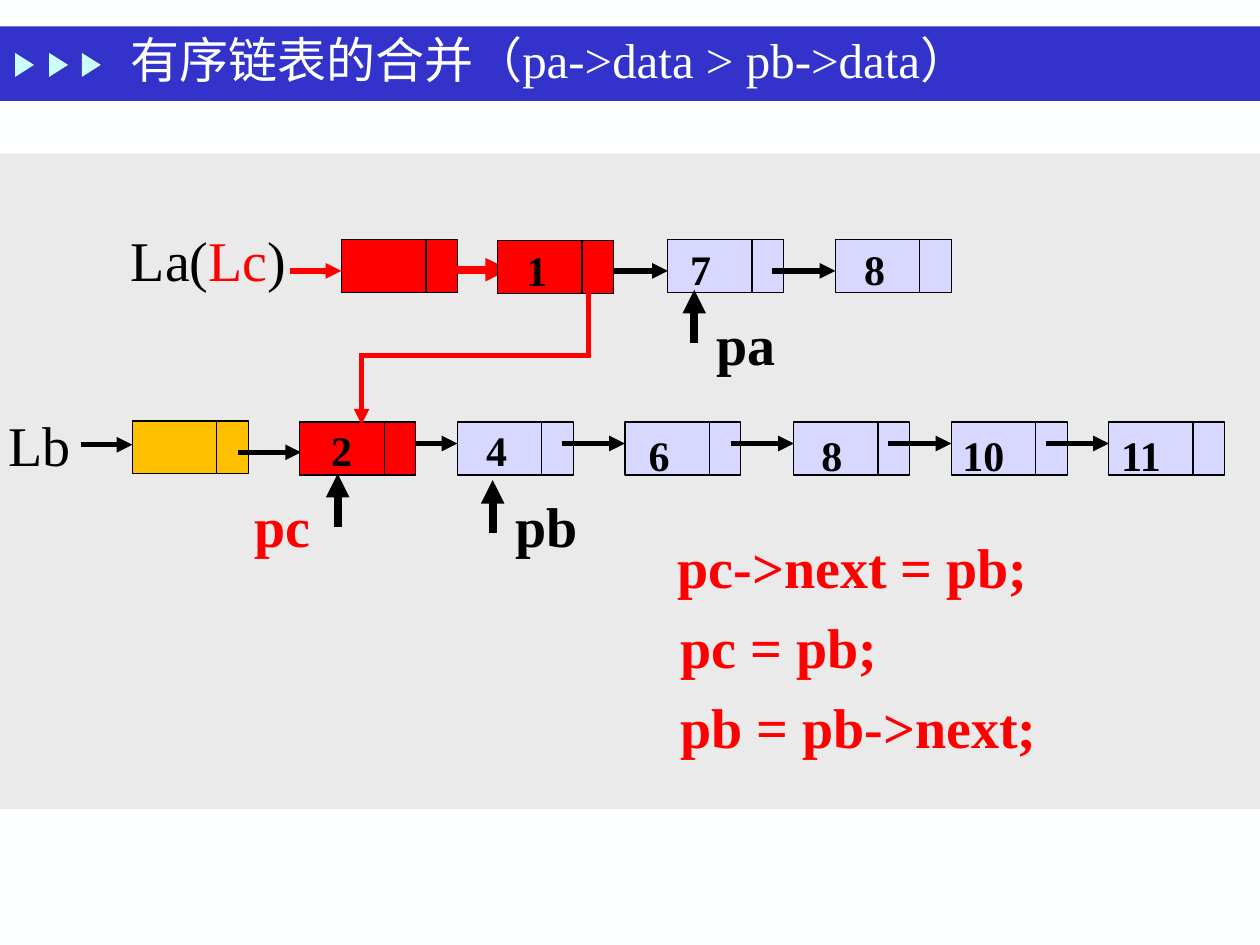
from lxml import etree
from pptx import Presentation
from pptx.dml.color import RGBColor
from pptx.enum.shapes import MSO_CONNECTOR, MSO_SHAPE
from pptx.enum.text import MSO_ANCHOR
from pptx.oxml.ns import qn
from pptx.util import Inches, Pt

RECTANGLE = MSO_SHAPE.RECTANGLE
TRIANGLE = MSO_SHAPE.ISOSCELES_TRIANGLE
STRAIGHT = MSO_CONNECTOR.STRAIGHT
MIDDLE = MSO_ANCHOR.MIDDLE

FONT = "Times New Roman"
BLACK, WHITE, RED = "000000", "FEFFFF", "FF0000"
BLUE, CYAN, GREY = "3333CC", "CBFFFF", "EAEAEA"
LILAC, GOLD = "D7D7FF", "FFC000"
DATA_WIDTH, LINK_WIDTH, NODE_HEIGHT = 0.67, 0.25, 0.42
VALUE_HEIGHT, LABEL_HEIGHT = 0.51, 0.63

TITLE = "有序链表的合并（pa->data > pb->data）"
MARKER_LEFTS = [0.1, 0.37, 0.63]

# left, top, fill, value, value left, value top, value width
BACK_NODES = [
    (2.71, 1.9, RED, None, 0, 0, 0),
    (5.3, 1.9, LILAC, "7", 5.38, 1.83, 0.37),
    (6.63, 1.9, LILAC, "8", 6.76, 1.83, 0.37),
    (1.05, 3.34, GOLD, None, 0, 0, 0),
    (3.63, 3.35, LILAC, "4", 3.76, 3.27, 0.37),
    (4.96, 3.35, LILAC, "6", 5.05, 3.31, 0.37),
    (6.3, 3.35, LILAC, "8", 6.42, 3.31, 0.37),
    (7.55, 3.35, LILAC, "10", 7.54, 3.31, 0.54),
    (8.8, 3.35, LILAC, "11", 8.8, 3.31, 0.52),
]
FRONT_NODES = [
    (3.95, 1.91, RED, "1", 4.08, 1.84, 0.37),
    (2.38, 3.35, RED, "2", 2.53, 3.27, 0.37),
]

LINK_LENGTH = 0.5
BLACK_LINKS = [
    (4.8, 2.15), (6.13, 2.15), (1.89, 3.59), (3.13, 3.52), (4.46, 3.52),
    (5.8, 3.52), (7.05, 3.52), (8.3, 3.52),
]
HEAD_LINKS = [
    (2.3, 2.15, 2.71, 2.15, RED, 3, True),
    (0.64, 3.53, 1.05, 3.53, BLACK, 3, True),
    (3.54, 2.14, 4.04, 2.14, RED, 4.5, True),
]
MERGE_ROUTE = [
    (4.67, 2.32, 4.67, 2.82, RED, 3, False),
    (4.69, 2.82, 2.85, 2.82, RED, 3, False),
    (2.87, 2.82, 2.87, 3.37, RED, 3, True),
]
POINTER_LENGTH = 0.42
POINTERS = [(2.68, 3.76), (5.51, 2.3), (3.91, 3.81)]

# left, top, width, colored spans, bold, wrap
LABELS = [
    (0.94, 1.69, 1.61, [("La(", BLACK), ("Lc", RED), (")", BLACK)], False, True),
    (-0.03, 3.16, 0.7, [("Lb", BLACK)], False, False),
    (5.59, 2.36, 0.68, [("pa", BLACK)], True, False),
    (3.99, 3.8, 0.7, [("pb", BLACK)], True, False),
    (1.92, 3.8, 0.95, [("pc", RED)], True, True),
    (5.28, 4.13, 4.03, [("pc->next = pb;", RED)], True, True),
    (5.3, 4.76, 4.03, [("pc = pb;", RED)], True, True),
    (5.3, 5.4, 4.03, [("pb = pb->next;", RED)], True, True),
]


def color(value):
    return RGBColor.from_string(value)


def add_block(page, kind, left, top, width, height, fill, outlined=False):
    block = page.shapes.add_shape(
        kind, Inches(left), Inches(top), Inches(width), Inches(height))
    block.shadow.inherit = False
    block.fill.solid()
    block.fill.fore_color.rgb = color(fill)
    if outlined:
        block.line.color.rgb = color(BLACK)
        block.line.width = Pt(0.75)
    else:
        block.line.fill.background()
    return block


def add_text(page, left, top, width, height, spans, size, bold=False, wrap=False):
    box = page.shapes.add_textbox(
        Inches(left), Inches(top), Inches(width), Inches(height))
    frame = box.text_frame
    frame.word_wrap = wrap
    frame.margin_top, frame.margin_bottom = Inches(0.1), 0
    para = frame.paragraphs[0]
    para.font.name = FONT
    para.font.size = Pt(size)
    para.font.bold = bold
    for text, shade in spans:
        span = para.add_run()
        span.text = text
        span.font.color.rgb = color(shade)
    return frame


def add_line(page, x1, y1, x2, y2, shade, weight, arrow):
    line = page.shapes.add_connector(
        STRAIGHT, Inches(x1), Inches(y1), Inches(x2), Inches(y2))
    line.line.color.rgb = color(shade)
    line.line.width = Pt(weight)
    if arrow:
        outline = line.line._get_or_add_ln()
        etree.SubElement(outline, qn("a:tailEnd"), type="triangle")
    etree.SubElement(line._element.spPr, qn("a:effectLst"))


def add_node(page, left, top, fill, value, value_left, value_top, value_width):
    for start, width in [(left, DATA_WIDTH), (left + DATA_WIDTH, LINK_WIDTH)]:
        add_block(page, RECTANGLE, start, top, width, NODE_HEIGHT, fill, True)
    if value:
        add_text(page, value_left, value_top, value_width, VALUE_HEIGHT,
                 [(value, BLACK)], 24, True)


def main():
    deck = Presentation()
    deck.slide_width, deck.slide_height = Inches(10), Inches(7.5)
    page = deck.slides.add_slide(deck.slide_layouts[6])
    page.background.fill.solid()
    page.background.fill.fore_color.rgb = color(WHITE)

    add_block(page, RECTANGLE, 0, 0.21, 10, 0.59, BLUE)
    for left in MARKER_LEFTS:
        add_block(page, TRIANGLE, left, 0.44, 0.19, 0.15, CYAN).rotation = 90
    add_block(page, RECTANGLE, 0, 1.22, 10, 5.2, GREY)
    title = add_text(page, 0.94, 0.19, 8.53, 0.56, [(TITLE, WHITE)], 28, wrap=True)
    title.margin_top = title.margin_bottom = Inches(0.05)
    title.vertical_anchor = MIDDLE

    for node in BACK_NODES:
        add_node(page, *node)
    for x, y in BLACK_LINKS:
        add_line(page, x, y, x + LINK_LENGTH, y, BLACK, 3, True)
    for link in HEAD_LINKS:
        add_line(page, *link)
    for node in FRONT_NODES:
        add_node(page, *node)
    for segment in MERGE_ROUTE:
        add_line(page, *segment)
    for x, tip in POINTERS:
        add_line(page, x, tip + POINTER_LENGTH, x, tip, BLACK, 4.5, True)
    for left, top, width, spans, bold, wrap in LABELS:
        add_text(page, left, top, width, LABEL_HEIGHT, spans, 32, bold, wrap)

    deck.save("out.pptx")


if __name__ == "__main__":
    main()
